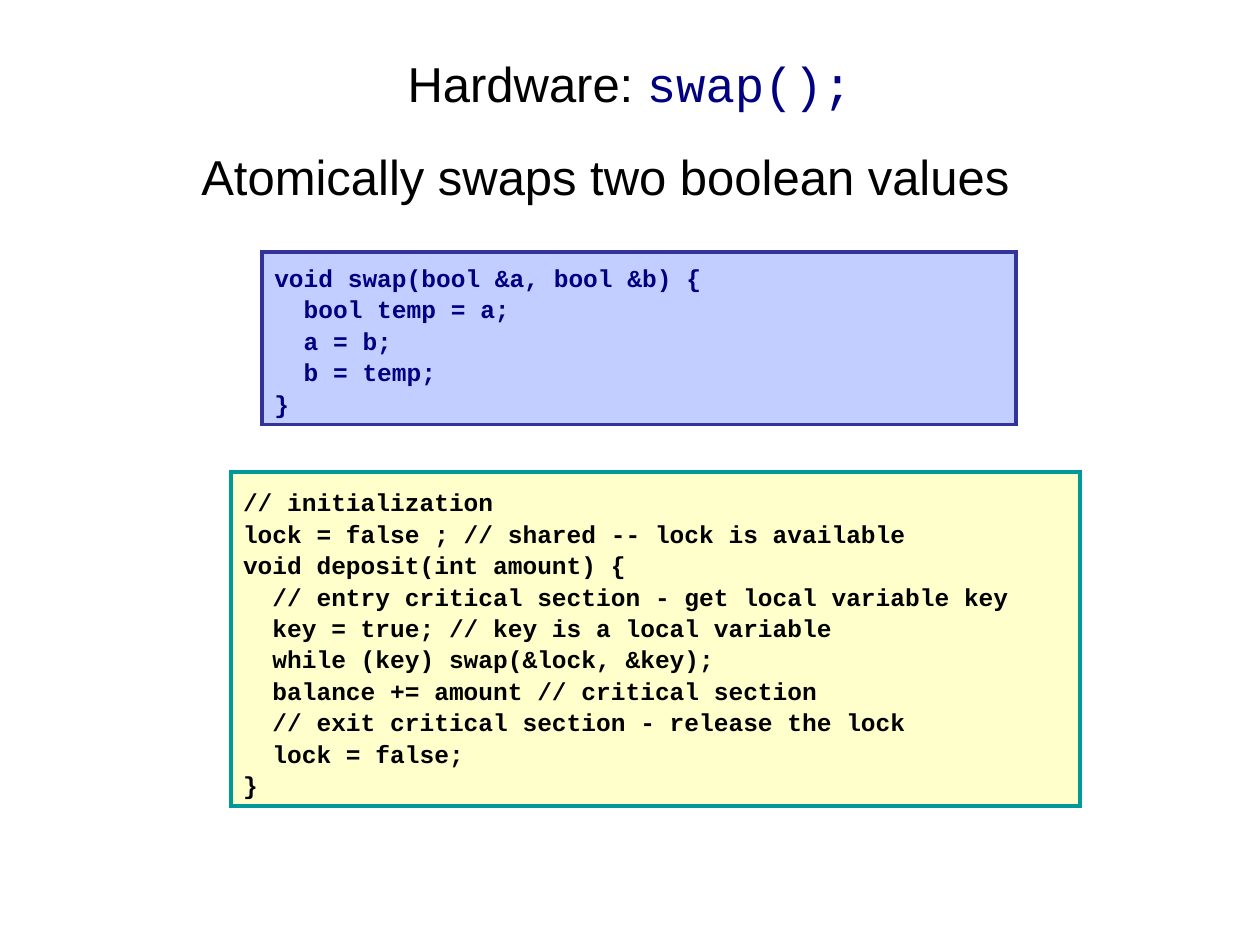
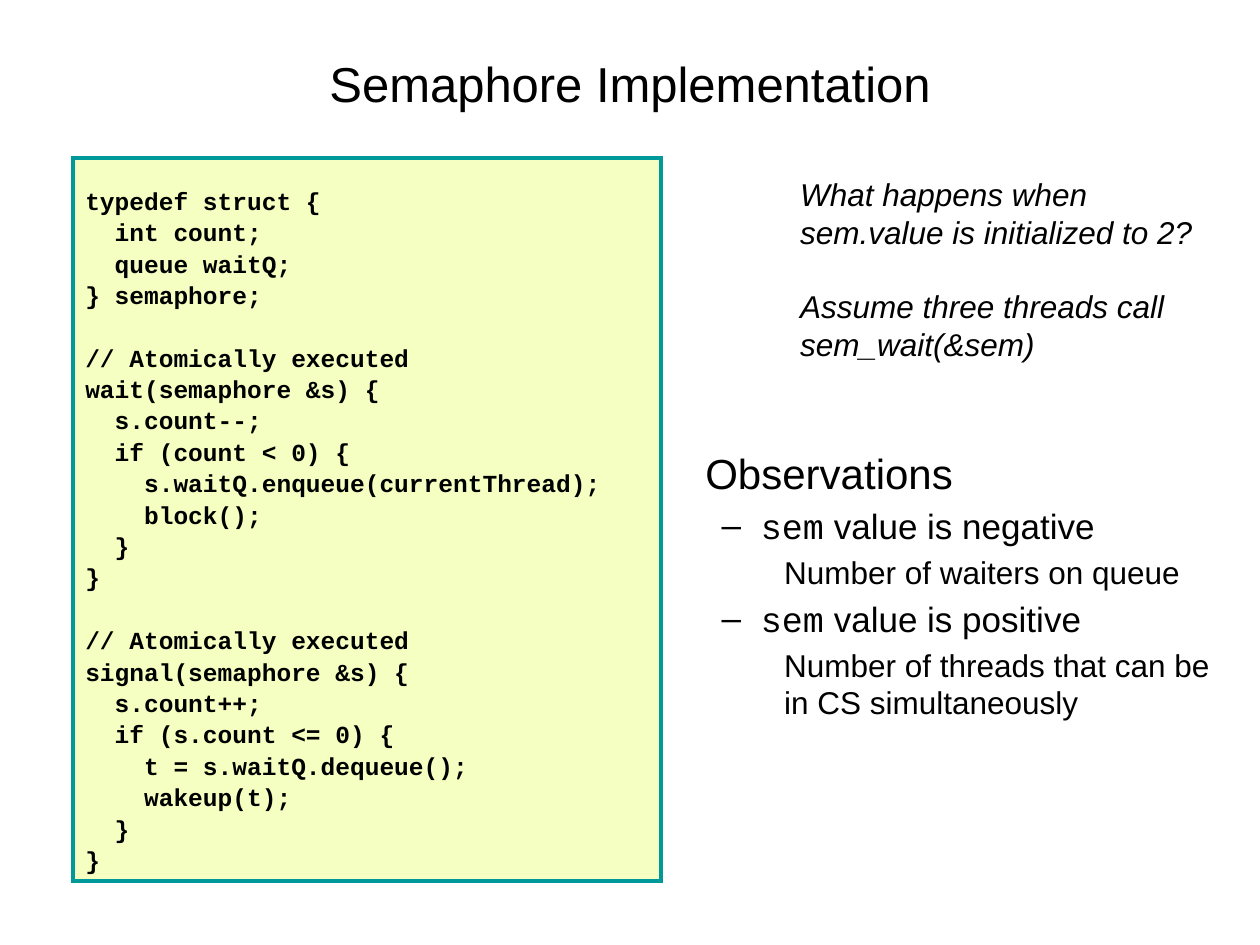
from lxml.etree import SubElement
from pptx import Presentation
from pptx.dml.color import RGBColor
from pptx.enum.shapes import MSO_SHAPE as Shape
from pptx.enum.text import MSO_ANCHOR as Anchor, MSO_AUTO_SIZE as AutoSize, PP_ALIGN as Align
from pptx.oxml.ns import qn
from pptx.util import Cm, Pt

SANS, MONO = "Arial", "Courier New"
BLACK, WHITE, NAVY = "000000", "FFFFFF", "000080"
INDIGO, TEAL = "333399", "009999"
LAVENDER, CREAM, LIME = "C1CEFF", "FFFFCC", "F0FF9B"
CODE_GAP, BLOCK_GAP = 2.8, 20.7


def style(font, name, size, color=BLACK):
    font.name = name
    font.size = Pt(size)
    font.color.rgb = RGBColor.from_string(color)


def add_panel(page, place, fill, line=None):
    panel = page.shapes.add_shape(Shape.RECTANGLE, *map(Cm, place))
    panel.shadow.inherit = False
    panel.fill.solid()
    panel.fill.fore_color.rgb = RGBColor.from_string(fill)
    if line:
        panel.line.color.rgb = RGBColor.from_string(line)
        panel.line.width = Pt(2.25)
        SubElement(panel.line._get_or_add_ln(), qn("a:miter"), lim="800000")
    else:
        panel.line.fill.background()
    panel.text_frame.word_wrap = True
    return panel


swap_code = """void swap(bool &a, bool &b) {
  bool temp = a;
  a = b;
  b = temp;
}"""

deposit_code = """// initialization
lock = false ; // shared -- lock is available
void deposit(int amount) {
  // entry critical section - get local variable key
  key = true; // key is a local variable
  while (key) swap(&lock, &key);
  balance += amount // critical section
  // exit critical section - release the lock
  lock = false;
}"""

semaphore_code = """typedef struct {
  int count;
  queue waitQ;
} semaphore;

// Atomically executed
wait(semaphore &s) {
  s.count--;
  if (count < 0) {
    s.waitQ.enqueue(currentThread);
    block();
  }
}

// Atomically executed
signal(semaphore &s) {
  s.count++;
  if (s.count <= 0) {
    t = s.waitQ.dequeue();
    wakeup(t);
  }
}"""

deck = Presentation()
deck.slide_width, deck.slide_height = Cm(25.4), Cm(19.05)

titles = [
    [("Hardware: ", SANS, BLACK), ("swap();", MONO, NAVY)],
    [("Semaphore Implementation", SANS, BLACK)],
]
for title_parts in titles:
    page = deck.slides.add_slide(deck.slide_layouts[5])
    title = page.shapes.title
    title.left, title.top, title.width, title.height = map(Cm, (1.27, 0.76, 22.86, 1.83))
    title.text_frame.auto_size = AutoSize.NONE
    title.text_frame.vertical_anchor = Anchor.MIDDLE
    para = title.text_frame.paragraphs[0]
    para.alignment = Align.CENTER
    for text, name, color in title_parts:
        span = para.add_run()
        span.text = text
        style(span.font, name, 28, color)
swap_page, semaphore_page = deck.slides

code_panels = [
    (swap_page, (5.28, 5.08, 15.21, 3.48), LAVENDER, INDIGO, NAVY, swap_code),
    (swap_page, (4.65, 9.52, 17.12, 6.73), CREAM, TEAL, BLACK, deposit_code),
    (semaphore_page, (1.47, 3.18, 11.86, 14.58), LIME, TEAL, BLACK, semaphore_code),
]
for page, place, fill, line, color, code in code_panels:
    panel = add_panel(page, place, fill, line)
    if fill == LIME:
        tint = panel.fill.fore_color._xFill.find(qn("a:srgbClr"))
        SubElement(tint, qn("a:alpha"), val="62000")
    frame = panel.text_frame
    frame.vertical_anchor = Anchor.BOTTOM
    for block_number, block in enumerate(code.split("\n\n")):
        for line_number, text in enumerate(block.split("\n")):
            first = block_number == line_number == 0
            para = frame.paragraphs[0] if first else frame.add_paragraph()
            para.text = text
            para.alignment = Align.LEFT
            para.line_spacing = 0.9
            starts_block = block_number > 0 and line_number == 0
            para.space_before = Pt(BLOCK_GAP if starts_block else CODE_GAP)
            style(para.font, MONO, 14, color)
            para.font.bold = True

summary = swap_page.shapes.add_textbox(Cm(2.54), Cm(2.97), Cm(18.3), Cm(1.32))
summary.text_frame.word_wrap = True
para = summary.text_frame.paragraphs[0]
para.text = "Atomically swaps two boolean values"
para.line_spacing = 0.89
para.space_before = Pt(3)
para._p.get_or_add_pPr().set("marL", str(Cm(1.27)))
style(para.font, SANS, 28)

observations = add_panel(semaphore_page, (13.97, 8.89, 11, 6.78), WHITE)
frame = observations.text_frame
frame.vertical_anchor = Anchor.TOP
levels = [(24, 3, 0, 0), (20, 4, 1.12, -0.79), (18, 3.5, 1.59, 0)]
points = [
    (0, [("Observations", SANS)]),
    (1, [("sem", MONO), (" value is negative", SANS)]),
    (2, [("Number of waiters on queue", SANS)]),
    (1, [("sem", MONO), (" value is positive", SANS)]),
    (2, [("Number of threads that can be in CS simultaneously", SANS)]),
]
for number, (level, parts) in enumerate(points):
    size, gap, margin, indent = levels[level]
    para = frame.add_paragraph() if number else frame.paragraphs[0]
    para.alignment = Align.LEFT
    para.level = level
    para.space_before = Pt(gap)
    properties = para._p.get_or_add_pPr()
    properties.set("marL", str(Cm(margin)))
    properties.set("indent", str(Cm(indent)))
    if level == 1:
        SubElement(properties, qn("a:buFont"), typeface=SANS)
        SubElement(properties, qn("a:buChar"), char="–")
    for text, name in parts:
        span = para.add_run()
        span.text = text
        style(span.font, name, size)

question = semaphore_page.shapes.add_textbox(Cm(15.88), Cm(3.38), Cm(8.66), Cm(4.06))
frame = question.text_frame
frame.word_wrap = True
frame.vertical_anchor = Anchor.BOTTOM
for number, text in enumerate(["What happens when sem.value is initialized to 2?",
                               "Assume three threads call sem_wait(&sem)"]):
    para = frame.add_paragraph() if number else frame.paragraphs[0]
    para.text = text
    para.space_before = Pt(21 * number)
    style(para.font, SANS, 18)
    para.font.italic = True

deck.save("out.pptx")
